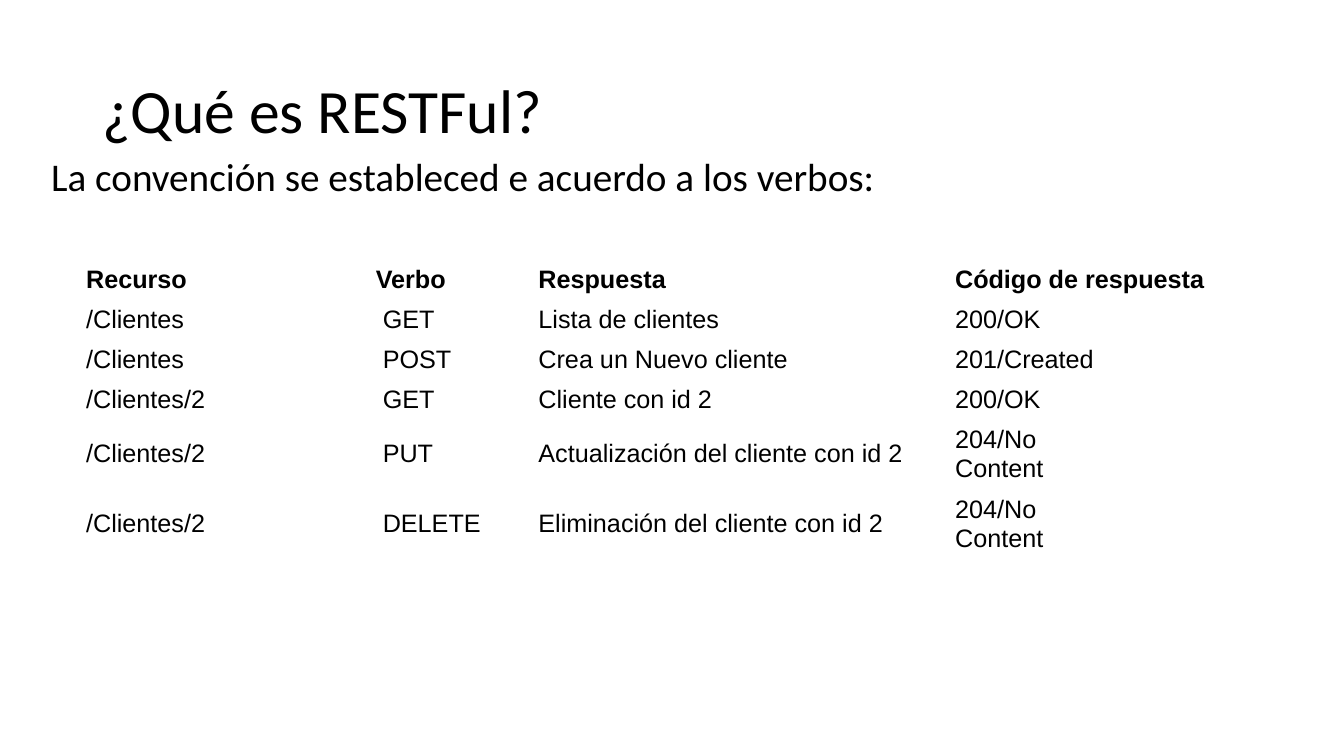
from pptx import Presentation
from pptx.dml.color import RGBColor
from pptx.enum.text import MSO_ANCHOR as Anchor
from pptx.util import Cm, Pt

TITLE = "¿Qué es RESTFul?"
SUBTITLE = "La convención se estableced e acuerdo a los verbos:"
ROWS = [
    ("Recurso", "Verbo", "Respuesta", "Código de respuesta"),
    ("/Clientes", " GET", "Lista de clientes", "200/OK"),
    ("/Clientes", " POST", "Crea un Nuevo cliente", "201/Created"),
    ("/Clientes/2", " GET", "Cliente con id 2", "200/OK"),
    ("/Clientes/2", " PUT", "Actualización del cliente con id 2", "204/No\vContent"),
    ("/Clientes/2", " DELETE", "Eliminación del cliente con id 2", "204/No\vContent"),
]
COLUMN_WIDTHS = (7.3, 4.1, 10.5, 7.3)
ROW_HEIGHT, TALL_ROW_HEIGHT = 0.97, 1.68
BLACK, WHITE = "000000", "FFFFFF"


def color(value):
    return RGBColor.from_string(value)


def style(paragraph, font_name, size, bold=False):
    font = paragraph.font
    font.name = font_name
    font.size = Pt(size)
    font.bold = bold
    font.color.rgb = color(BLACK)


def add_text(slide, text, box, size, anchor, space_before=0):
    frame = slide.shapes.add_textbox(*map(Cm, box)).text_frame
    frame.word_wrap = True
    frame.vertical_anchor = anchor
    paragraph = frame.paragraphs[0]
    paragraph.text = text
    paragraph.line_spacing = 0.9
    paragraph.space_before = Pt(space_before)
    style(paragraph, "Calibri", size)


def add_verb_table(slide, left, top):
    heights = [TALL_ROW_HEIGHT if "\v" in row[-1] else ROW_HEIGHT for row in ROWS]
    table = slide.shapes.add_table(
        len(ROWS), len(COLUMN_WIDTHS), Cm(left), Cm(top),
        Cm(sum(COLUMN_WIDTHS)), Cm(sum(heights)),
    ).table
    for column, width in zip(table.columns, COLUMN_WIDTHS):
        column.width = Cm(width)
    for index, (row, height) in enumerate(zip(table.rows, heights)):
        row.height = Cm(height)
        for cell, text in zip(row.cells, ROWS[index]):
            cell.fill.solid()
            cell.fill.fore_color.rgb = color(WHITE)
            cell.vertical_anchor = Anchor.MIDDLE
            cell.margin_left = cell.margin_right = Cm(0.24)
            cell.margin_top = cell.margin_bottom = Cm(0.12)
            paragraph = cell.text_frame.paragraphs[0]
            paragraph.text = text
            style(paragraph, "Arial", 18, bold=index == 0)


def main():
    presentation = Presentation()
    presentation.slide_width = Cm(33.87)
    presentation.slide_height = Cm(19.05)
    slide = presentation.slides.add_slide(presentation.slide_layouts[6])
    add_text(slide, TITLE, (2.33, 1.01, 29.21, 3.68), 44, Anchor.MIDDLE)
    add_text(slide, SUBTITLE, (1.04, 3.86, 32, 1.68), 28, Anchor.TOP, space_before=14)
    add_verb_table(slide, 1.93, 6.55)
    presentation.save("out.pptx")


if __name__ == "__main__":
    main()
